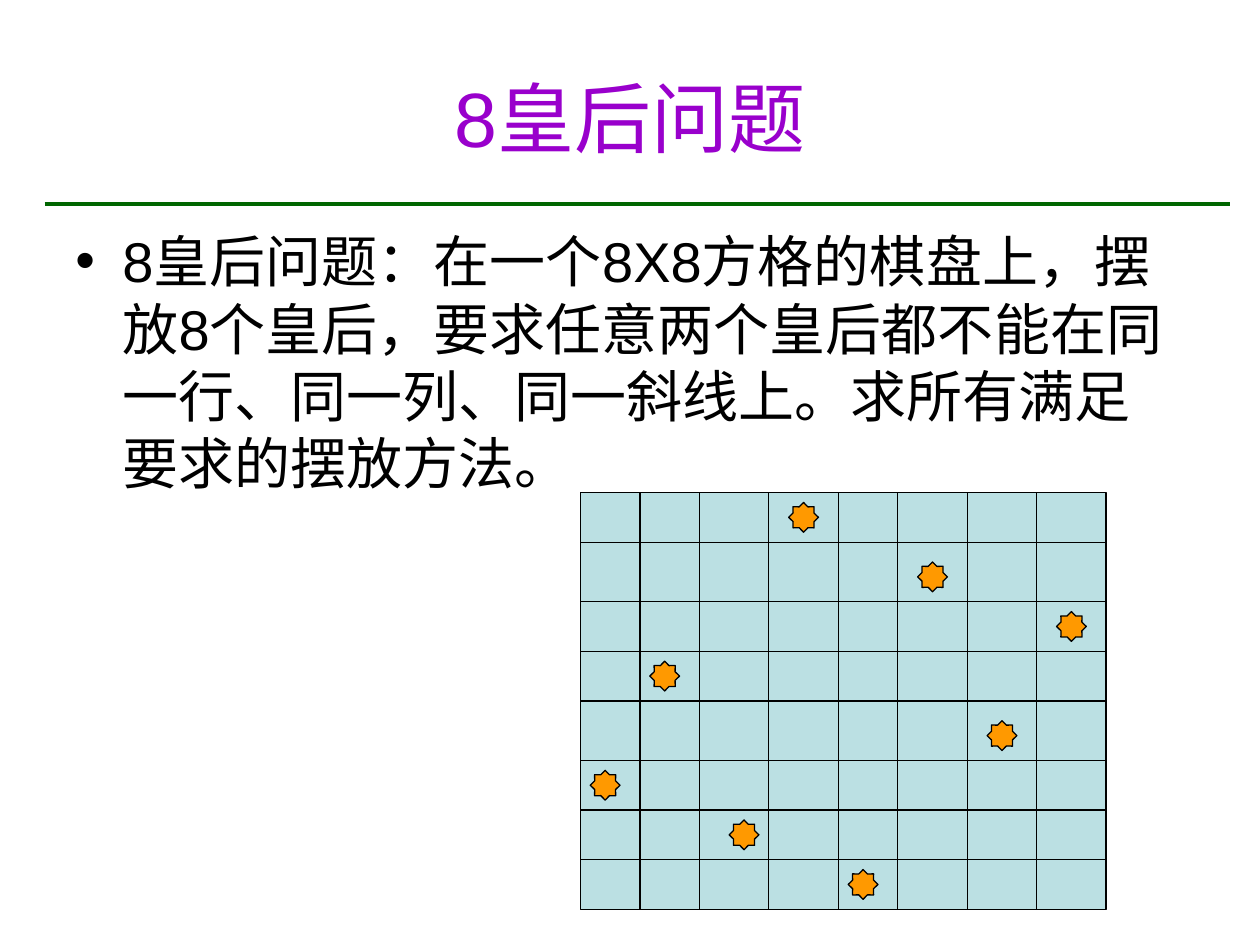
from itertools import accumulate

from lxml.etree import SubElement
from pptx import Presentation
from pptx.dml.color import RGBColor
from pptx.enum.shapes import MSO_CONNECTOR, MSO_SHAPE
from pptx.enum.text import MSO_ANCHOR, PP_ALIGN
from pptx.oxml.ns import qn
from pptx.util import Cm, Pt

COLORS = {
    "title": "9900CC",
    "text": "000000",
    "rule": "006600",
    "board": "BBE0E3",
    "grid": "000000",
    "queen": "FF9900",
}
FONT = "Arial"
TITLE = "8皇后问题"
PROBLEM = (
    "8皇后问题：在一个8X8方格的棋盘上，摆放8个皇后，"
    "要求任意两个皇后都不能在同一行、同一列、同一斜线上。"
    "求所有满足要求的摆放方法。"
)
BOARD_LEFT, BOARD_TOP = 11.7, 9.93
COLUMN_WIDTHS = [1.2, 1.2, 1.4, 1.4, 1.2, 1.4, 1.4, 1.4]
ROW_HEIGHTS = [1, 1.2, 1, 1, 1.2, 1, 1, 1]
QUEEN_COLUMNS = [3, 5, 7, 1, 6, 0, 2, 4]
QUEEN_SIZE = 0.6
QUEEN_GAP_RIGHT, QUEEN_GAP_BOTTOM = 0.4, 0.2
QUEEN_NUDGES = {2: 0.2}


def color(name):
    return RGBColor.from_string(COLORS[name])


def add_text(slide, text, left, top, width, height, size, color_name):
    frame = slide.shapes.add_textbox(Cm(left), Cm(top), Cm(width), Cm(height)).text_frame
    frame.word_wrap = True
    paragraph = frame.paragraphs[0]
    run = paragraph.add_run()
    run.text = text
    run.font.name = FONT
    run.font.size = Pt(size)
    run.font.color.rgb = color(color_name)
    return frame, paragraph


def add_bullet(paragraph, indent):
    properties = paragraph._p.get_or_add_pPr()
    properties.set("marL", str(Cm(indent)))
    properties.set("indent", str(-Cm(indent)))
    SubElement(properties, qn("a:buFont"), typeface=FONT)
    SubElement(properties, qn("a:buChar"), char="•")


def add_line(slide, x1, y1, x2, y2, color_name, weight):
    line = slide.shapes.add_connector(
        MSO_CONNECTOR.STRAIGHT, Cm(x1), Cm(y1), Cm(x2), Cm(y2)
    )
    line.line.color.rgb = color(color_name)
    line.line.width = Pt(weight)
    SubElement(line._element.spPr, qn("a:effectLst"))


def add_outlined(slide, preset, left, top, width, height, fill_name):
    shape = slide.shapes.add_shape(preset, Cm(left), Cm(top), Cm(width), Cm(height))
    shape.shadow.inherit = False
    shape.fill.solid()
    shape.fill.fore_color.rgb = color(fill_name)
    shape.line.color.rgb = color("grid")
    shape.line.width = Pt(0.75)
    return shape


def add_board(slide, columns, rows):
    left, right, top, bottom = columns[0], columns[-1], rows[0], rows[-1]
    add_outlined(slide, MSO_SHAPE.RECTANGLE, left, top, right - left, bottom - top, "board")
    for x in columns[1:-1]:
        add_line(slide, x, top, x, bottom, "grid", 0.75)
    for y in rows[1:-1]:
        add_line(slide, left, y, right, y, "grid", 0.75)


def add_queens(slide, columns, rows):
    for row, column in enumerate(QUEEN_COLUMNS):
        left = columns[column + 1] - QUEEN_GAP_RIGHT - QUEEN_SIZE
        left += QUEEN_NUDGES.get(column, 0)
        top = rows[row + 1] - QUEEN_GAP_BOTTOM - QUEEN_SIZE
        queen = add_outlined(
            slide, MSO_SHAPE.STAR_8_POINT, left, top, QUEEN_SIZE, QUEEN_SIZE, "queen"
        )
        queen.adjustments[0] = 0.38


def main():
    presentation = Presentation()
    presentation.slide_width, presentation.slide_height = Cm(25.4), Cm(19.05)
    slide = presentation.slides.add_slide(presentation.slide_layouts[6])

    title_frame, title = add_text(slide, TITLE, 1.27, 0.76, 22.86, 3.18, 44, "title")
    title_frame.vertical_anchor = MSO_ANCHOR.MIDDLE
    title.alignment = PP_ALIGN.CENTER

    _, problem = add_text(slide, PROBLEM, 1.27, 4.45, 22.86, 12.57, 32, "text")
    add_bullet(problem, 0.95)

    columns = list(accumulate(COLUMN_WIDTHS, initial=BOARD_LEFT))
    rows = list(accumulate(ROW_HEIGHTS, initial=BOARD_TOP))
    add_board(slide, columns, rows)
    add_queens(slide, columns, rows)
    add_line(slide, 0.9, 4.12, 24.8, 4.12, "rule", 2.25)

    presentation.save("out.pptx")


if __name__ == "__main__":
    main()
